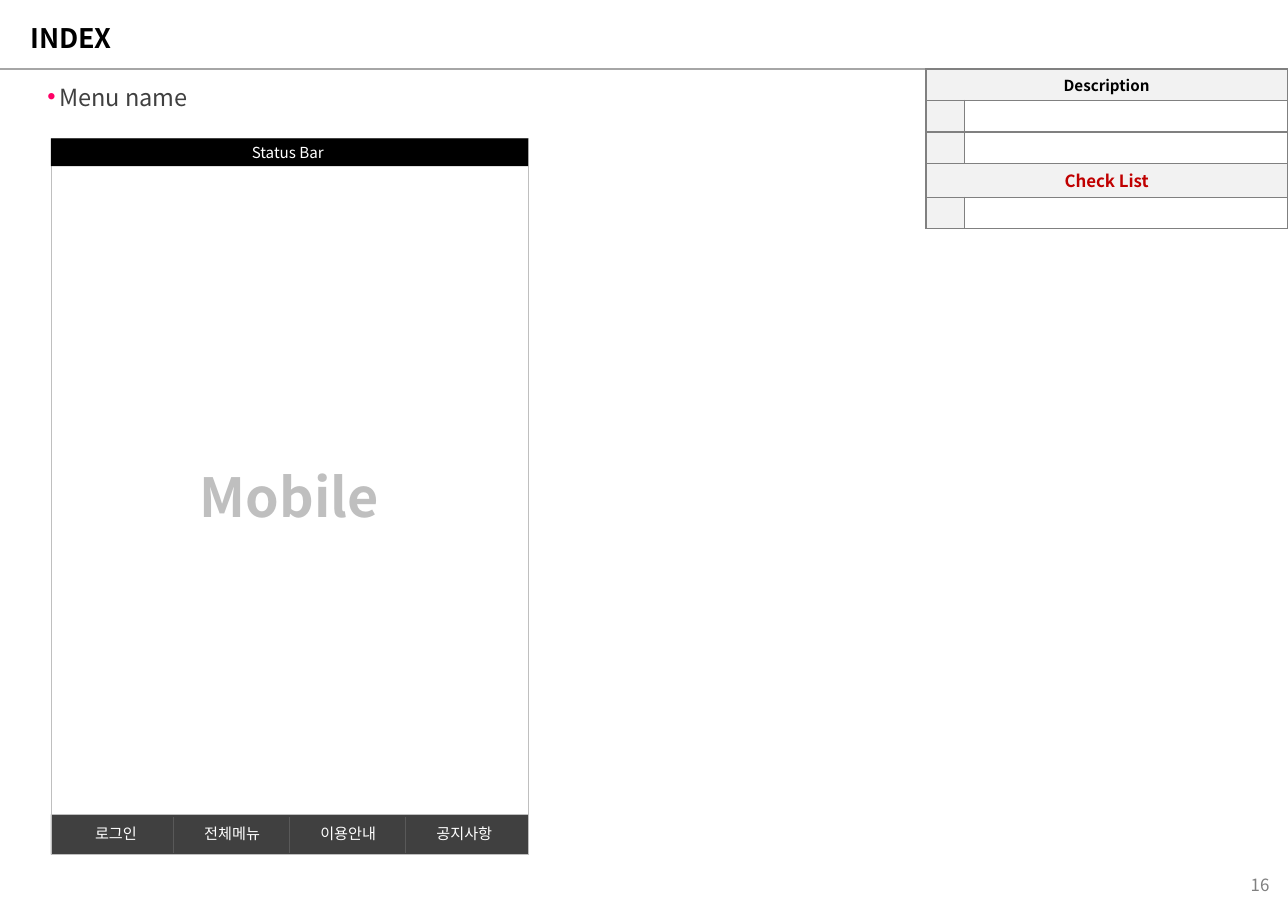
from dataclasses import dataclass

from lxml.etree import SubElement
from pptx import Presentation
from pptx.dml.color import RGBColor as RGB
from pptx.enum.shapes import MSO_CONNECTOR as CONN, MSO_SHAPE as SHAPE
from pptx.enum.text import MSO_ANCHOR as ANCHOR, MSO_AUTO_SIZE as AUTO, PP_ALIGN as ALIGN
from pptx.oxml.ns import qn
from pptx.util import Pt


@dataclass(frozen=True)
class Theme:
    """Colours, type sizes and font of the slide."""
    font: str = "Noto Sans CJK KR"
    black: str = "000000"
    white: str = "FFFFFF"
    dark: str = "404040"
    divider: str = "595959"
    grey: str = "808080"
    rule: str = "A6A6A6"
    pale: str = "BFBFBF"
    header: str = "F2F2F2"
    alert: str = "C00000"
    bullet: str = "FF0066"
    tiny: int = 6
    small: int = 9
    note: int = 10
    body: int = 14
    title: int = 16
    hero: int = 32


class Board:
    """Draws elements on the current slide in one theme."""

    def __init__(self, slide, theme):
        """Keep the slide and the theme."""
        self.slide, self.theme, self.shapes = slide, theme, slide.shapes

    def group(self):
        """Send the following elements into a new group."""
        self.shapes = self.slide.shapes.add_group_shape().shapes

    def style_text(self, tf, text, size, color, bold=False, align=ALIGN.LEFT):
        """Set and format the text of a frame."""
        tf.text = text
        p = tf.paragraphs[0]
        p.alignment = align
        for r in p.runs:
            r.font.name, r.font.size, r.font.bold = self.theme.font, Pt(size), bold
            r.font.color.rgb = RGB.from_string(color)
            SubElement(r.font._element, qn("a:ea"), typeface=self.theme.font)
        return p

    def placeholder(self, idx, box, text, size, color, bold, anchor):
        """Move and fill a template placeholder."""
        sp = self.slide.placeholders[idx]
        sp.left, sp.top, sp.width, sp.height = map(Pt, box)
        tf = sp.text_frame
        tf.auto_size, tf.vertical_anchor = AUTO.NONE, anchor
        return self.style_text(tf, text, size, color, bold)

    def bullet(self, p, indent):
        """Give a paragraph a coloured round bullet."""
        pPr = p._p.get_or_add_pPr()
        pPr.set("marL", str(Pt(indent)))
        pPr.set("indent", str(-Pt(indent)))
        clr = SubElement(pPr, qn("a:buClr"))
        SubElement(clr, qn("a:srgbClr"), val=self.theme.bullet)
        SubElement(pPr, qn("a:buChar"), char="•")

    def rect(self, box, fill=None, line=None):
        """Draw a rectangle and return its text frame."""
        sp = self.shapes.add_shape(SHAPE.RECTANGLE, *map(Pt, box))
        sp.shadow.inherit = False
        if fill:
            sp.fill.solid()
            sp.fill.fore_color.rgb = RGB.from_string(fill)
        else:
            sp.fill.background()
        if line:
            sp.line.color.rgb, sp.line.width = RGB.from_string(line), Pt(0.25)
        else:
            sp.line.fill.background()
        sp.text_frame.vertical_anchor = ANCHOR.MIDDLE
        return sp.text_frame

    def label(self, box, text, size, color, align):
        """Add a one-line text box without margins."""
        tf = self.shapes.add_textbox(*map(Pt, box)).text_frame
        tf.margin_left = tf.margin_right = tf.margin_top = tf.margin_bottom = 0
        tf.word_wrap = False
        self.style_text(tf, text, size, color, align=align)

    def line(self, ends, color, width):
        """Draw a straight line."""
        cn = self.shapes.add_connector(CONN.STRAIGHT, *map(Pt, ends))
        cn.line.color.rgb, cn.line.width = RGB.from_string(color), Pt(width)
        SubElement(cn._element.spPr, qn("a:effectLst"))

    def cell(self, c, fill):
        """Fill a table cell and outline it."""
        tcPr = c._tc.get_or_add_tcPr()
        for side in ("a:lnL", "a:lnR", "a:lnT", "a:lnB"):
            ln = SubElement(tcPr, qn(side), w=str(Pt(1)))
            SubElement(SubElement(ln, qn("a:solidFill")), qn("a:srgbClr"), val=self.theme.grey)
        c.fill.solid()
        c.fill.fore_color.rgb = RGB.from_string(fill)
        c.margin_left = c.margin_right = c.margin_top = c.margin_bottom = Pt(2.88)
        c.vertical_anchor = ANCHOR.MIDDLE

    def table(self, left, top, cols, rows, headings):
        """Add a table whose heading rows span all columns."""
        t = self.theme
        tbl = self.shapes.add_table(len(rows), len(cols), Pt(left), Pt(top),
                                    Pt(sum(cols)), Pt(sum(rows))).table
        tbl.first_row = tbl.horz_banding = False
        for col, width in zip(tbl.columns, cols):
            col.width = Pt(width)
        for i, height in enumerate(rows):
            tbl.rows[i].height = Pt(height)
            for j in range(len(cols)):
                c = tbl.cell(i, j)
                self.cell(c, t.header if i in headings or j == 0 else t.white)
                if i not in headings:
                    SubElement(c.text_frame.paragraphs[0]._p, qn("a:endParaRPr"),
                               sz=str(t.tiny * 100))
        for i, (text, size, color) in headings.items():
            c = tbl.cell(i, 0)
            c.merge(tbl.cell(i, len(cols) - 1))
            p = self.style_text(c.text_frame, text, size, color, True, ALIGN.CENTER)
            p.space_before = Pt(3)


def main():
    """Build the slide and save it."""
    prs = Presentation()
    prs.slide_width, prs.slide_height = Pt(765.4), Pt(540)
    t = Theme()
    s = Board(prs.slides.add_slide(prs.slide_layouts[1]), t)

    s.placeholder(0, (10.8, 11.5, 452, 21.6), "INDEX", t.title, t.black, True, ANCHOR.MIDDLE)
    p = s.placeholder(1, (20.9, 45.4, 443.5, 20.9), "Menu name", t.body, t.dark, False, ANCHOR.TOP)
    s.bullet(p, 7)
    s.line((0, 41, 765.4, 41), t.rule, 1.5)
    s.label((735, 519.5, 19.3, 15), "16", t.note, t.grey, ALIGN.RIGHT)
    s.table(550.2, 41, (23, 191.8), (18.7, 18.7, 18.7, 20.2, 18.7),
            {0: ("Description", t.small, t.black), 3: ("Check List", t.note, t.alert)})

    s.group()
    left, top, width, height = 30.2, 82.2, 283.7, 425.4
    screen = s.rect((left, top, width, height), line=t.pale)
    s.style_text(screen, "Mobile", t.hero, t.pale, True, ALIGN.CENTER)
    status = s.rect((left, top, width, 16.6), t.black)
    status.word_wrap = False
    s.style_text(status, "Status Bar ", t.small, t.white, align=ALIGN.CENTER)
    s.rect((left, 483.8, width, 23.8), t.dark, t.pale)
    pitch = 69
    for i, name in enumerate(("로그인", "전체메뉴", "이용안내", "공지사항")):
        s.label((46.9 + i * pitch, 489.6, 44, 13), name, t.small, t.white, ALIGN.CENTER)
        if i:
            x = 34 + i * pitch
            s.line((x, 485.3, x, 506.9), t.divider, 0.75)

    prs.save("out.pptx")


if __name__ == "__main__":
    main()
